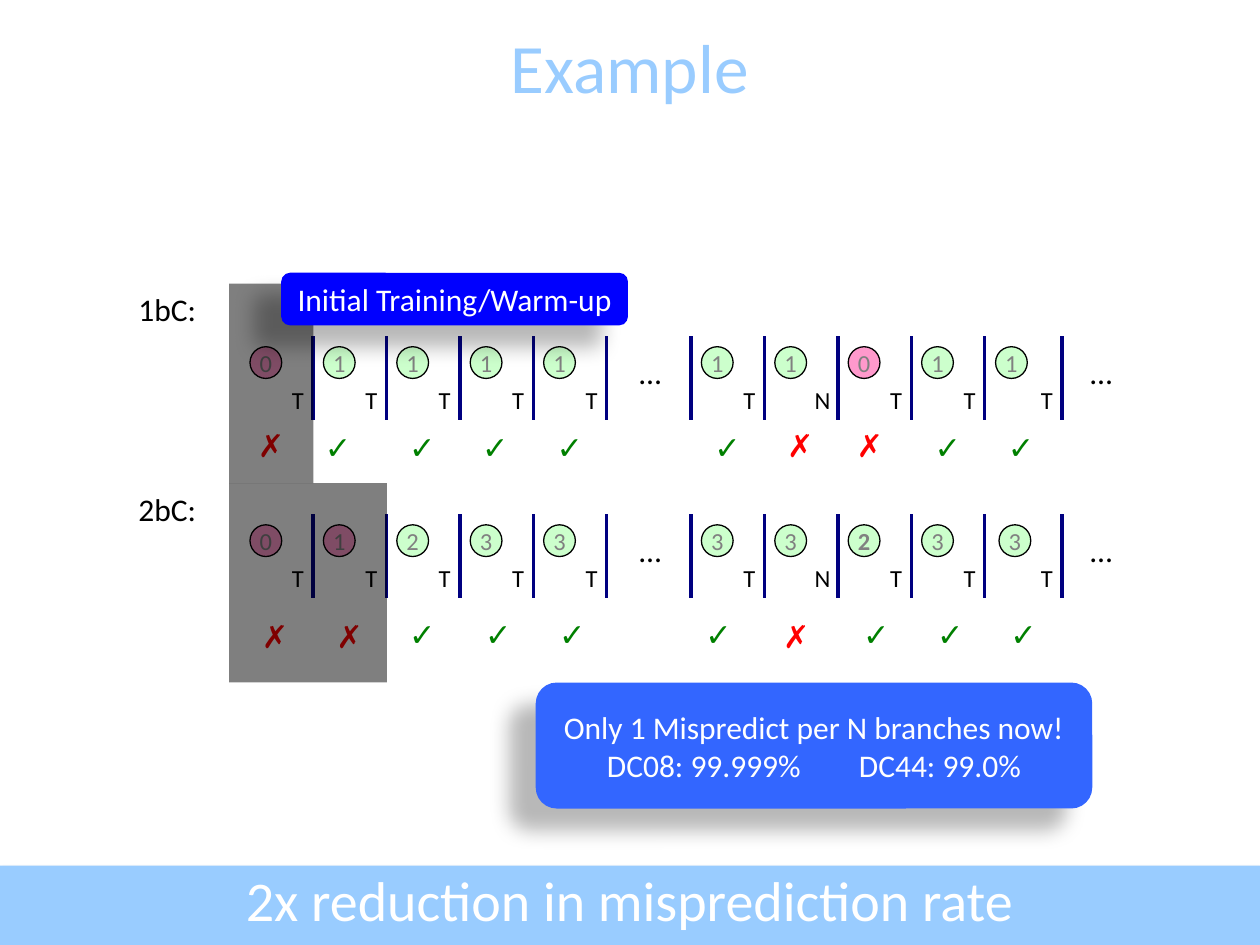
"""Build a slide comparing one-bit and two-bit branch counters."""
from dataclasses import dataclass

from lxml.etree import SubElement
from pptx import Presentation
from pptx.dml.color import RGBColor
from pptx.enum.shapes import MSO_CONNECTOR, MSO_SHAPE
from pptx.enum.text import MSO_ANCHOR, PP_ALIGN
from pptx.oxml.ns import qn
from pptx.util import Cm, Pt

COLORS = {
    "sky": "99CCFF", "white": "FFFFFF", "black": "000000", "gray": "808080",
    "taken": "CCFFCC", "not_taken": "FF99CC", "divider": "000080",
    "hit": "008000", "miss": "FF0000", "warmup": "0000FF", "result": "3366FF",
}
STEP = 1.48
COLUMNS = ([5.04 + STEP * i for i in range(5)]
           + [14.14 + STEP * i for i in range(4)] + [20.14])
OUTCOMES = "TTTTTTNTTT"


@dataclass(frozen=True)
class Box:
    left: float
    top: float
    width: float
    height: float


@dataclass(frozen=True)
class Style:
    size: float
    color: str
    bold: bool = False
    centered: bool = True
    wrap: bool = False


@dataclass(frozen=True)
class Shadow:
    alpha: int
    blur: float
    distance: float
    angle: int


@dataclass(frozen=True)
class Counter:
    label: str
    label_top: float
    top: float
    states: str
    threshold: int
    last_shift: float
    bold_column: int
    marks: str
    mark_lefts: tuple[float, ...]
    hit_top: float
    miss_top: float
    training: Box


CALLOUT_SHADOW = Shadow(28, 11.8, 19.7, 141)
BODY = Style(18, "black", centered=False)
COUNTERS = (
    Counter("1bC:", 5.72, 6.99, "0111111011", 1, -0.07, -1, "✗✓✓✓✓✓✗✗✓✓",
            (4.95, 6.3, 8, 9.47, 10.97, 14.15, 15.62, 17.02, 18.59, 20.07),
            8.51, 8.46, Box(4.62, 5.72, 1.7, 4.02)),
    Counter("2bC:", 9.75, 10.58, "0123333233", 2, 0, 7, "✗✗✓✓✓✓✗✓✓✓",
            (5.03, 6.53, 8, 9.53, 11.02, 13.97, 15.54, 17.15, 18.64, 20.12),
            12.27, 12.32, Box(4.62, 9.74, 3.18, 4.02)),
)


def rgb(name: str) -> RGBColor:
    """Return a named colour."""
    return RGBColor.from_string(COLORS[name])


def write(shape, text: str, style: Style) -> None:
    """Put formatted text into a shape."""
    frame = shape.text_frame
    frame.text = text
    frame.word_wrap = style.wrap
    for paragraph in frame.paragraphs:
        paragraph.alignment = PP_ALIGN.CENTER if style.centered else PP_ALIGN.LEFT
        for run in paragraph.runs:
            run.font.name = "Calibri"
            run.font.size = Pt(style.size)
            run.font.bold = style.bold
            run.font.color.rgb = rgb(style.color)


def add_label(slide, box: Box, text: str, style: Style):
    """Add a text box."""
    label = slide.shapes.add_textbox(
        Cm(box.left), Cm(box.top), Cm(box.width), Cm(box.height))
    write(label, text, style)
    return label


def add_block(slide, kind: MSO_SHAPE, box: Box, fill: str):
    """Add a filled shape with neither line nor shadow."""
    block = slide.shapes.add_shape(
        kind, Cm(box.left), Cm(box.top), Cm(box.width), Cm(box.height))
    block.shadow.inherit = False
    block.fill.solid()
    block.fill.fore_color.rgb = rgb(fill)
    block.line.fill.background()
    block.text_frame.vertical_anchor = MSO_ANCHOR.MIDDLE
    return block


def cast_shadow(block, shadow: Shadow) -> None:
    """Give a shape a soft black outer shadow."""
    effects = block._element.spPr.find(qn("a:effectLst"))
    outer = SubElement(
        effects, qn("a:outerShdw"), blurRad=str(Pt(shadow.blur)),
        dist=str(Pt(shadow.distance)), dir=str(shadow.angle * 60000),
        algn="ctr", rotWithShape="0")
    tint = SubElement(outer, qn("a:srgbClr"), val=COLORS["black"])
    SubElement(tint, qn("a:alpha"), val=str(shadow.alpha * 1000))


def add_callout(slide, box: Box, fill: str, text: str) -> None:
    """Add a rounded callout with a shadow."""
    callout = add_block(slide, MSO_SHAPE.ROUNDED_RECTANGLE, box, fill)
    cast_shadow(callout, CALLOUT_SHADOW)
    write(callout, text, Style(18, "white"))


def add_divider(slide, left: float, top: float) -> None:
    """Add a vertical bar between two branches."""
    divider = slide.shapes.add_connector(
        MSO_CONNECTOR.STRAIGHT, Cm(left), Cm(top), Cm(left), Cm(top + 1.69))
    divider.line.color.rgb = rgb("divider")
    divider.line.width = Pt(2)
    SubElement(divider._element.spPr, qn("a:effectLst"))


def add_counter(slide, counter: Counter) -> None:
    """Draw the states, outcomes and prediction marks of one counter."""
    branches = zip(COLUMNS, counter.states, OUTCOMES, counter.marks,
                   counter.mark_lefts)
    for column, (left, value, outcome, mark, mark_left) in enumerate(branches):
        shift = counter.last_shift if column == len(COLUMNS) - 1 else 0
        fill = "not_taken" if int(value) < counter.threshold else "taken"
        state = add_block(slide, MSO_SHAPE.OVAL,
                          Box(left + shift, counter.top, 0.64, 0.64), fill)
        state.line.color.rgb = rgb("black")
        state.line.width = Pt(0.75)
        write(state, value, Style(14, "gray", column == counter.bold_column))
        width = 0.89 if outcome == "N" else 0.81
        add_label(slide, Box(left + 1 - width / 2, counter.top + 0.64, width, 0.86),
                  outcome, Style(14, "black", centered=False))
        add_divider(slide, left + 1.27, counter.top - 0.21)
        hit = mark == "✓"
        add_label(slide, Box(mark_left, counter.hit_top if hit else counter.miss_top,
                             1.02 if hit else 0.91, 1.02),
                  mark, Style(18, "hit" if hit else "miss", True, False))
    add_divider(slide, 13.93, counter.top - 0.21)
    for left in (12.45, 21.54):
        add_label(slide, Box(left, counter.top, 1.32, 1.02), "…",
                  Style(18, "black", wrap=True))
    training = add_block(slide, MSO_SHAPE.RECTANGLE, counter.training, "black")
    tint = training._element.spPr.find(qn("a:solidFill"))[0]
    SubElement(tint, qn("a:alpha"), val="50000")
    add_label(slide, Box(2.54, counter.label_top, 1.75, 1.02), counter.label, BODY)


def main() -> None:
    """Build and save the slide."""
    deck = Presentation()
    deck.slide_width, deck.slide_height = Cm(25.4), Cm(19.05)
    slide = deck.slides.add_slide(deck.slide_layouts[6])
    banner = add_block(slide, MSO_SHAPE.RECTANGLE, Box(0, 17.45, 25.4, 1.6), "sky")
    cast_shadow(banner, Shadow(35, 3.1, 1.8, 90))
    title = add_label(slide, Box(0, 0.53, 25.4, 1.6), "Example",
                      Style(39.6, "sky", wrap=True))
    title.text_frame.vertical_anchor = MSO_ANCHOR.MIDDLE
    for counter in COUNTERS:
        add_counter(slide, counter)
    add_callout(slide, Box(5.67, 5.5, 6.99, 1.06), "warmup",
                "Initial Training/Warm-up")
    add_callout(slide, Box(10.8, 13.76, 11.22, 2.54), "result",
                "Only 1 Mispredict per N branches now!\nDC08: 99.999%\tDC44: 99.0%")
    add_label(slide, Box(0, 17.32, 25.4, 1.6), "2x reduction in misprediction rate",
              Style(32, "white", wrap=True))
    deck.save("out.pptx")


if __name__ == "__main__":
    main()
